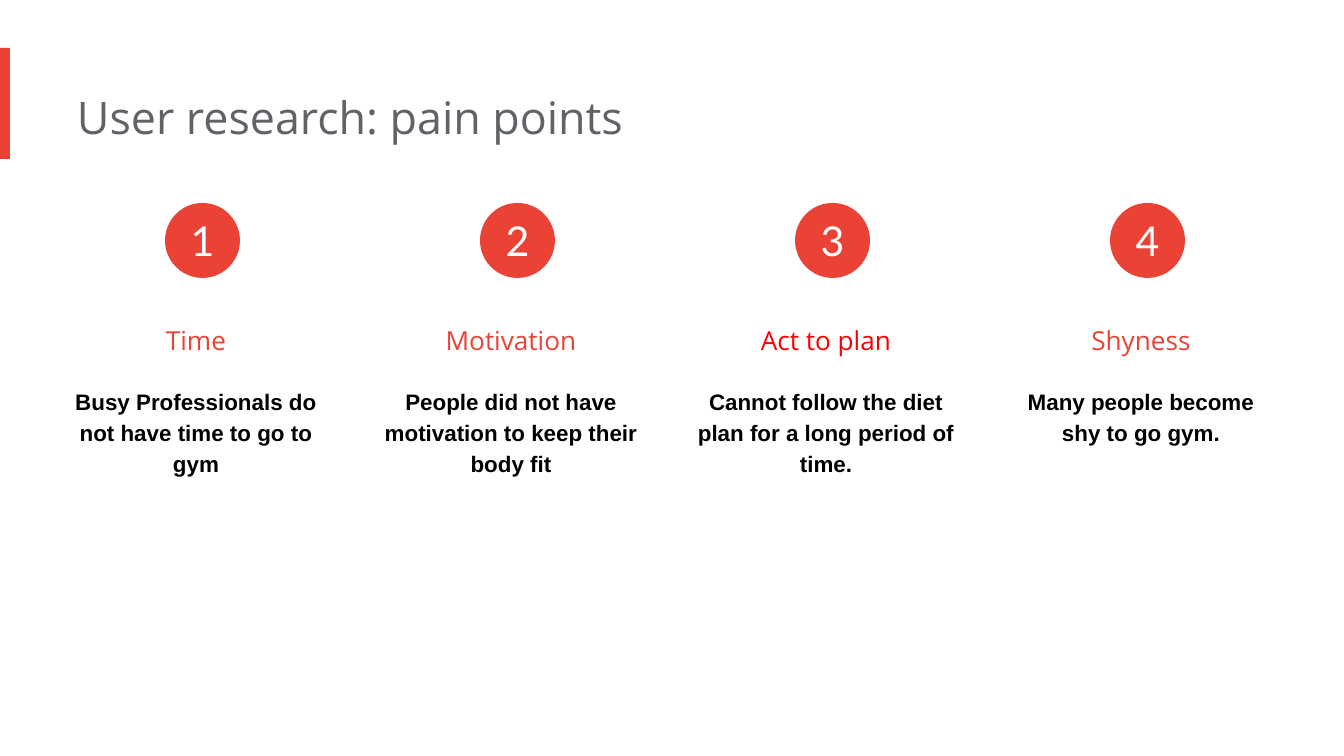
from pptx import Presentation
from pptx.dml.color import RGBColor
from pptx.enum.shapes import MSO_SHAPE as Shape
from pptx.enum.text import MSO_ANCHOR as Anchor, MSO_AUTO_SIZE as Fit, PP_ALIGN as Align
from pptx.util import Pt

SCALE = 9144000 / 1344  # EMU per px
RED = "EA4335"


def box(kind, *area):
    """Add a red preset shape, or a text box when kind is None."""
    area = [round(n * SCALE) for n in area]
    if kind is None:
        return slide.shapes.add_textbox(*area)
    shape = slide.shapes.add_shape(kind, *area)
    shape.shadow.inherit = False
    shape.fill.solid()
    shape.fill.fore_color.rgb = RGBColor.from_string(RED)
    shape.line.fill.background()
    return shape


def write(shape, text, face, size, color, align=Align.CENTER, pad=13, left=0,
          anchor=Anchor.TOP, lines=None, bold=False):
    frame = shape.text_frame
    frame.text = text
    frame.word_wrap = True
    frame.auto_size = Fit.NONE
    frame.vertical_anchor = anchor
    frame.margin_left = round(left * SCALE)
    frame.margin_top = frame.margin_right = frame.margin_bottom = round(pad * SCALE)
    para = frame.paragraphs[0]
    para.alignment = align
    if lines:
        para.line_spacing = lines
    font = para.font
    font.name, font.size, font.bold = face, Pt(size), bold
    font.color.rgb = RGBColor.from_string(color)


deck = Presentation()
deck.slide_width = round(1344 * SCALE)
deck.slide_height = round(756 * SCALE)
slide = deck.slides.add_slide(deck.slide_layouts[5])

box(Shape.RECTANGLE, 0, 48, 10, 111)

title = slide.shapes.title
title.left, title.top, title.width, title.height = [
    round(n * SCALE) for n in (77, 77, 905, 82)]
write(title, "User research: pain points", "Open Sans", 24, "5F6368", Align.LEFT)

points = [
    ("Time", RED, "Busy Professionals do not have time to go to gym"),
    ("Motivation", RED, "People did not have motivation to keep their body fit"),
    ("Act to plan", "FF0000", "Cannot follow the diet plan for a long period of time."),
    ("Shyness", RED, "Many people become shy to go gym."),
]
for i, (head, color, note) in enumerate(points):
    x = 65 + 315 * i
    write(box(None, x, 296, 275, 75), head, "Open Sans", 14, color, lines=1.5)
    write(box(None, x, 371, 275, 121), note, "Arial", 12, "000000",
          lines=1.15, bold=True)
    write(box(Shape.OVAL, x + 100, 203, 75, 75), str(i + 1), "Lato", 22, "FFFFFF",
          pad=0, anchor=Anchor.MIDDLE)

deck.save("out.pptx")
